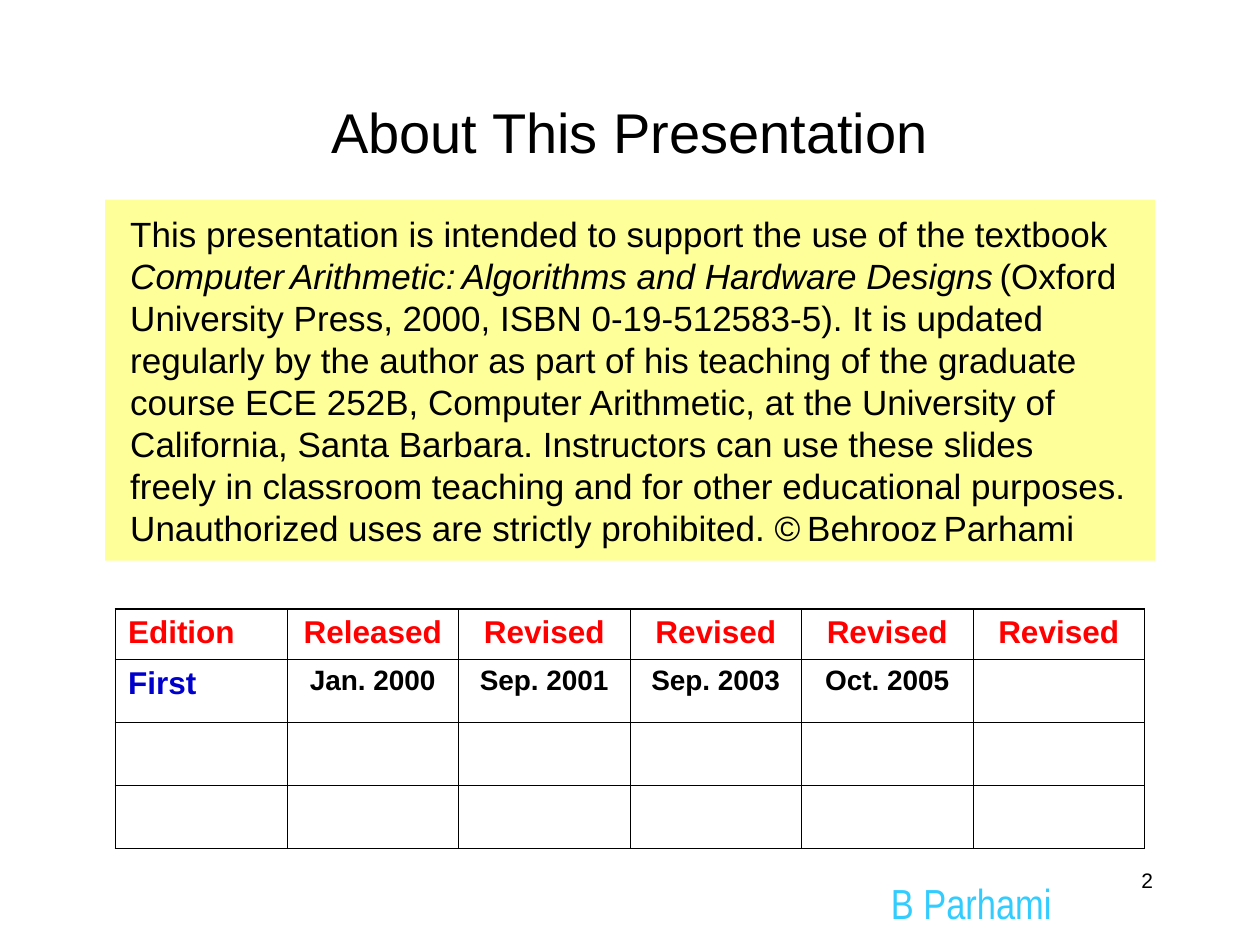
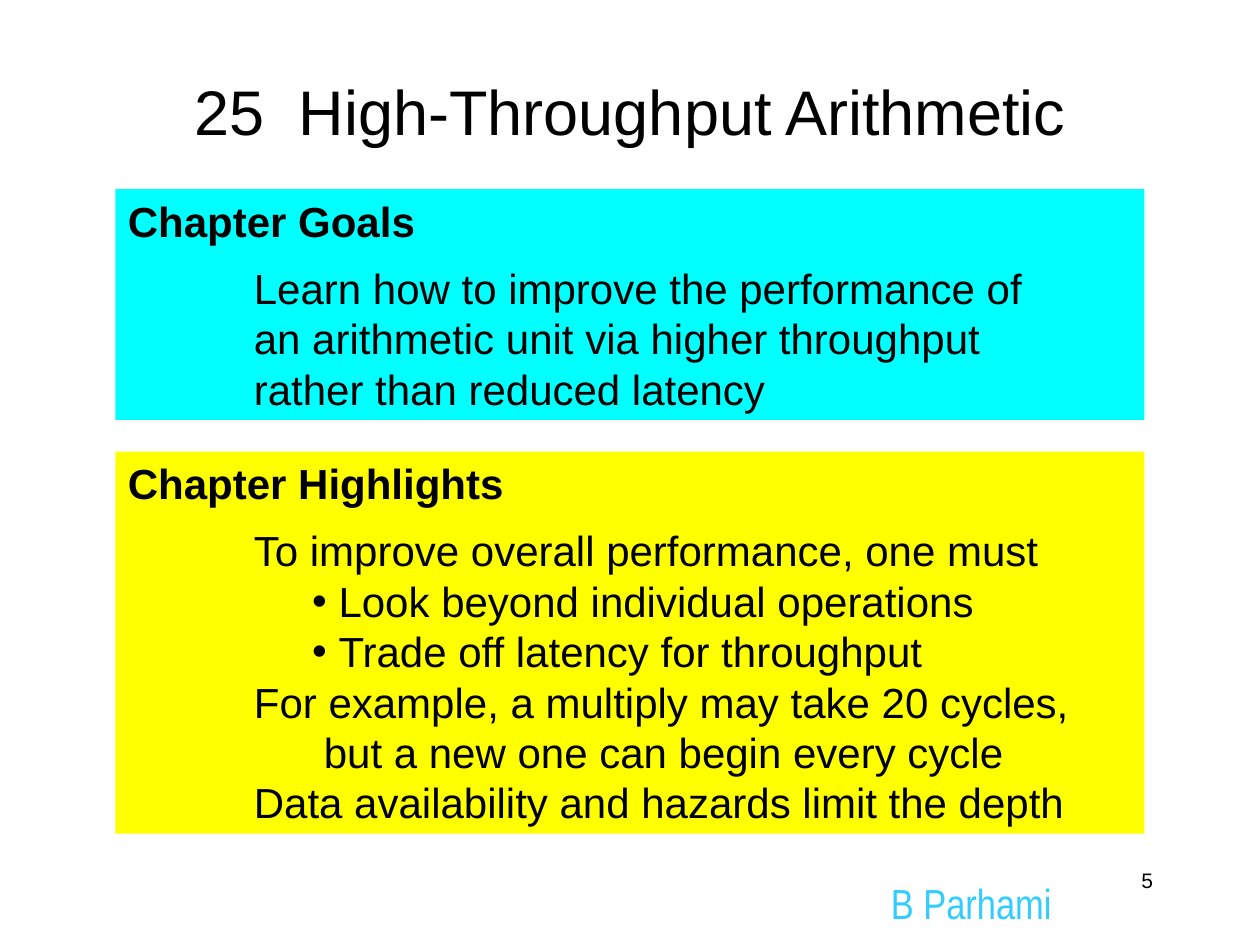
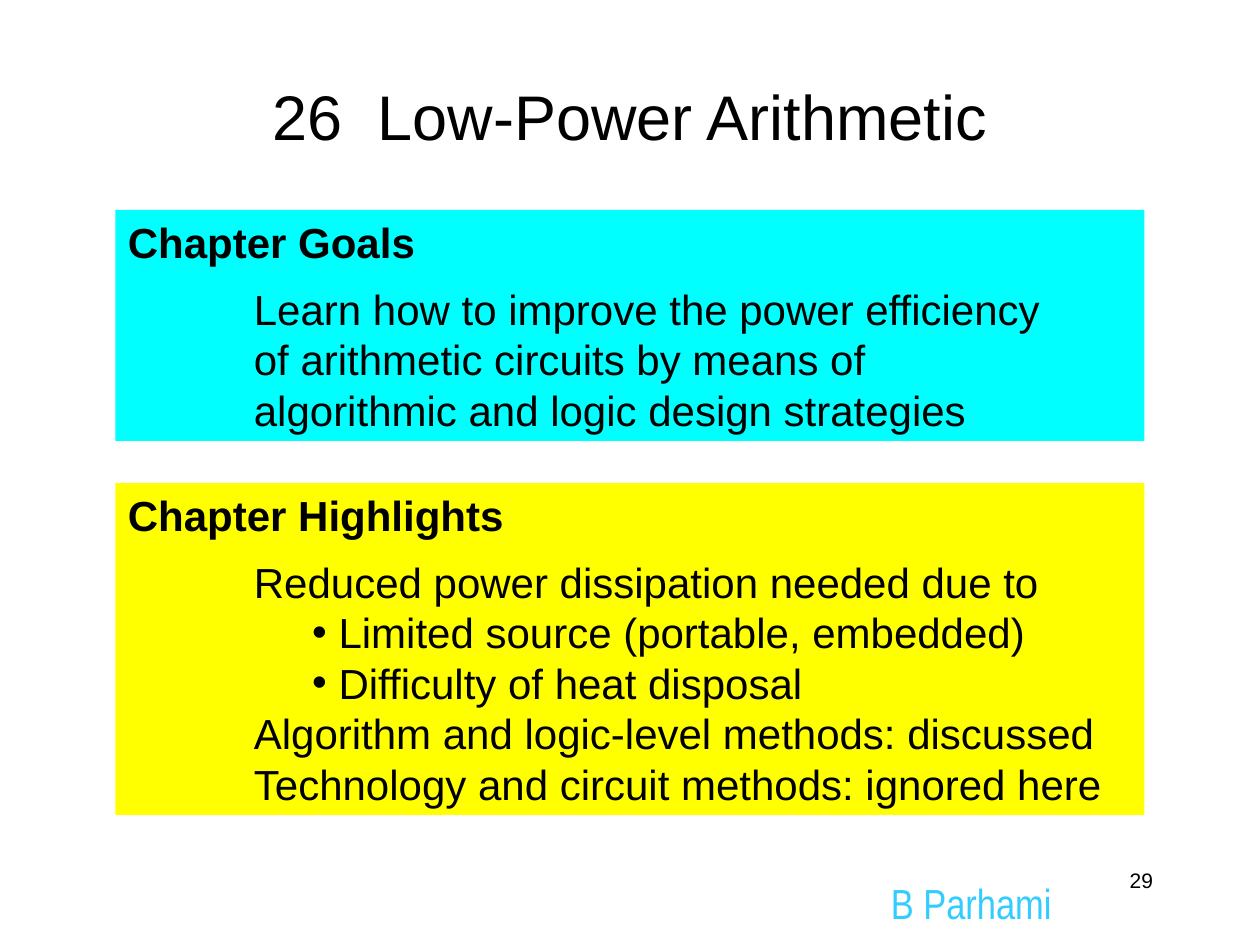
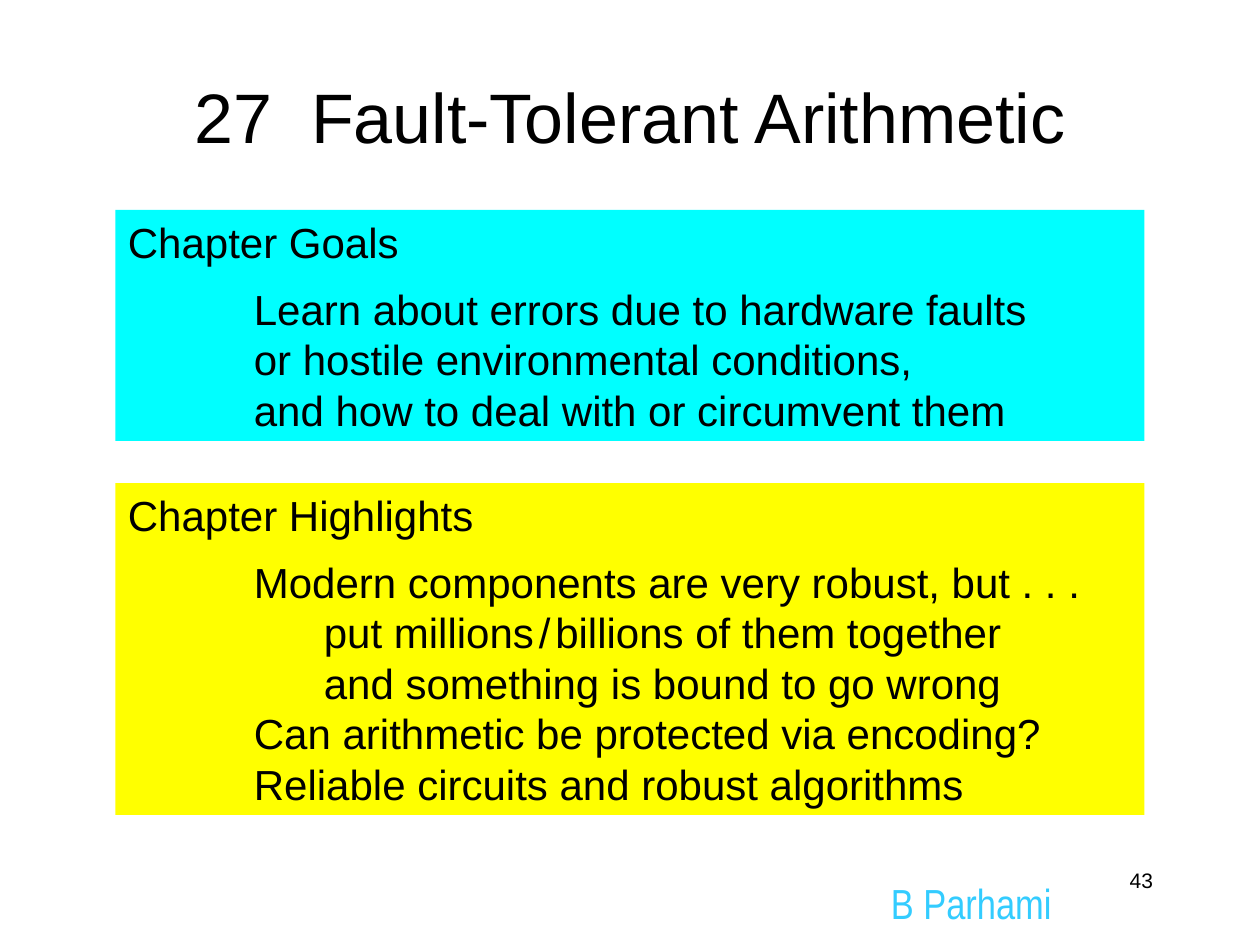
"""Builds four lecture slides on computer arithmetic: an introduction and three chapter openers."""
from dataclasses import dataclass

from lxml import etree
from pptx import Presentation
from pptx.dml.color import RGBColor
from pptx.enum.shapes import MSO_SHAPE
from pptx.enum.text import MSO_ANCHOR, MSO_AUTO_SIZE, PP_ALIGN
from pptx.oxml.ns import qn
from pptx.util import Pt

LEFT, CENTER, RIGHT = PP_ALIGN.LEFT, PP_ALIGN.CENTER, PP_ALIGN.RIGHT
TOP, MIDDLE = MSO_ANCHOR.TOP, MSO_ANCHOR.MIDDLE
FIT_SHAPE, FIXED = MSO_AUTO_SIZE.SHAPE_TO_FIT_TEXT, MSO_AUTO_SIZE.NONE
RECTANGLE = MSO_SHAPE.RECTANGLE


@dataclass(frozen=True)
class Theme:
    """Fonts, colours, type sizes and line widths of the deck."""
    font: str = "Arial"
    footer_font: str = "Arial Narrow"
    ink: str = "000000"
    heading: str = "FF0000"
    edition: str = "0000CC"
    footer: str = "33CCFF"
    footer_edge: str = "000099"
    note: str = "FFFF99"
    goals: str = "00FFFF"
    highlights: str = "FFFF00"
    intro_title_size: float = 32
    panel_size: float = 24
    footer_size: float = 24
    note_size: float = 20
    heading_size: float = 18
    date_size: float = 16
    number_size: float = 12
    note_gap_size: float = 12
    panel_gap_size: float = 10
    leading: float = 1.2
    thin_border: float = 0.45
    thick_border: float = 1.08


THEME = Theme()
THIN_SPACE = "~"
FOOTER = "B Parhami"
TITLE_ONLY = 5

INTRO = {
    "title": "About This Presentation",
    "number": "2",
    "note": [
        ("This presentation is intended to support the use of the textbook ", False),
        ("Computer~Arithmetic:~Algorithms and Hardware Designs~", True),
        ("(Oxford University Press, 2000, ISBN 0-19-512583-5). It is updated "
         "regularly by the author as part of his teaching of the graduate course "
         "ECE 252B, Computer Arithmetic, at the University of California, Santa "
         "Barbara. Instructors can use these slides freely in classroom teaching "
         "and for other educational purposes. Unauthorized uses are strictly "
         "prohibited. ©~Behrooz~Parhami", False),
    ],
    "editions": [
        ["Edition", "Released", "Revised", "Revised", "Revised", "Revised"],
        ["First", "Jan. 2000", "Sep. 2001", "Sep. 2003", "Oct. 2005", ""],
        [""] * 6,
        [""] * 6,
    ],
}

CHAPTERS = [
    {
        "title": "25  High-Throughput Arithmetic", "number": "5",
        "title_size": 36, "title_height": 66, "tops": (108, 258), "bold": True,
        "goals": [
            ("plain", "Learn how to improve the performance of"),
            ("plain", "an arithmetic unit via higher throughput"),
            ("plain", "rather than reduced latency"),
        ],
        "highlights": [
            ("plain", "To improve overall performance, one must"),
            ("bullet", "Look beyond individual operations"),
            ("bullet", "Trade off latency for throughput"),
            ("plain", "For example, a multiply may take 20 cycles,"),
            ("deeper", "but a new one can begin every cycle"),
            ("plain", "Data availability and hazards limit the depth"),
        ],
    },
    {
        "title": "26  Low-Power Arithmetic", "number": "29",
        "title_size": 36, "title_height": 72, "tops": (120, 276), "bold": True,
        "goals": [
            ("plain", "Learn how to improve the power efficiency"),
            ("plain", "of arithmetic circuits by means of"),
            ("plain", "algorithmic and logic design strategies"),
        ],
        "highlights": [
            ("plain", "Reduced power dissipation needed due to"),
            ("bullet", "Limited source (portable, embedded)"),
            ("bullet", "Difficulty of heat disposal"),
            ("plain", "Algorithm and logic-level methods: discussed"),
            ("plain", "Technology and circuit methods: ignored here"),
        ],
    },
    {
        "title": "27  Fault-Tolerant Arithmetic", "number": "43",
        "title_size": 40, "title_height": 72, "tops": (120, 276), "bold": False,
        "goals": [
            ("plain", "Learn about errors due to hardware faults"),
            ("plain", "or hostile environmental conditions,"),
            ("plain", "and how to deal with or circumvent them"),
        ],
        "highlights": [
            ("plain", "Modern components are very robust, but . . ."),
            ("deeper", "put millions~/~billions of them together"),
            ("deeper", "and something is bound to go wrong"),
            ("plain", "Can arithmetic be protected via encoding?"),
            ("plain", "Reliable circuits and robust algorithms"),
        ],
    },
]

PANEL_LEFT, PANEL_WIDTH = 66, 588
LIST_GAP = 9.6
PANEL_PADDING = 7.2
INDENTS = {"plain": (72, 0), "bullet": (120.4, -15.1), "deeper": (112, 0)}


def style(font, size, color=THEME.ink, bold=False, italic=False, name=THEME.font):
    """Set every property of a font."""
    font.name, font.size, font.bold, font.italic = name, Pt(size), bold, italic
    font.color.rgb = RGBColor.from_string(color)


def add_spans(para, text, size, gap_size, **looks):
    """Add text to a paragraph, with smaller spaces at the thin space marks."""
    for index, piece in enumerate(text.split(THIN_SPACE)):
        if index:
            span = para.add_run()
            span.text = " "
            style(span.font, gap_size, **looks)
        if piece:
            span = para.add_run()
            span.text = piece
            style(span.font, size, **looks)


def set_leading(para, size):
    """Give a paragraph the line height that belongs to its type size."""
    para.line_spacing = Pt(size * THEME.leading)


def indent(para, kind):
    """Indent a list line and give it a bullet when its kind asks for one."""
    margin, hanging = INDENTS[kind]
    properties = para._p.get_or_add_pPr()
    properties.set("marL", str(Pt(margin)))
    properties.set("indent", str(Pt(hanging)))
    if kind == "bullet":
        etree.SubElement(properties, qn("a:buFont"), typeface=THEME.font)
        etree.SubElement(properties, qn("a:buChar"), char="•")


def add_label(page, text, frame, align, size, **looks):
    """Add a one-line text box and return it."""
    box = page.shapes.add_textbox(*map(Pt, frame))
    box.text_frame.word_wrap = True
    box.text_frame.auto_size = FIXED
    box.text_frame.text = text
    para = box.text_frame.paragraphs[0]
    para.alignment = align
    style(para.runs[0].font, size, **looks)
    return box


def add_page(deck, title, number, frame, size):
    """Add a slide with its title and page number."""
    page = deck.slides.add_slide(deck.slide_layouts[TITLE_ONLY])
    box = page.shapes.title
    box.left, box.top, box.width, box.height = map(Pt, frame)
    box.text_frame.text = title
    box.text_frame.auto_size = FIXED
    box.text_frame.vertical_anchor = MIDDLE
    para = box.text_frame.paragraphs[0]
    para.alignment = CENTER
    style(para.runs[0].font, size)
    add_label(page, number, (516, 492, 150, 36), RIGHT, THEME.number_size)
    return page


def add_footer_to_layout(deck, page):
    """Put the author's name on the layout that all slides share."""
    box = add_label(page, FOOTER, (495, 498, 120, 36), CENTER, THEME.footer_size,
                    color=THEME.footer, name=THEME.footer_font)
    properties = box.text_frame.paragraphs[0].runs[0].font._element
    edge = etree.Element(qn("a:ln"), w=str(Pt(1)))
    fill = etree.SubElement(edge, qn("a:solidFill"))
    etree.SubElement(fill, qn("a:srgbClr"), val=THEME.footer_edge)
    properties.insert(0, edge)
    deck.slide_layouts[TITLE_ONLY].shapes.element.append(box.element)


def add_panel(page, left, top, width, height, color):
    """Add a plain coloured rectangle and return its text frame."""
    box = page.shapes.add_shape(RECTANGLE, Pt(left), Pt(top), Pt(width), Pt(height))
    box.shadow.inherit = False
    box.fill.solid()
    box.fill.fore_color.rgb = RGBColor.from_string(color)
    box.line.fill.background()
    frame = box.text_frame
    frame.word_wrap = True
    frame.auto_size = FIT_SHAPE
    frame.vertical_anchor = TOP
    return frame


def add_list_panel(page, heading, lines, top, color, bold):
    """Add a panel with a heading above indented lines."""
    size = THEME.panel_size
    height = (len(lines) + 1) * size * THEME.leading + LIST_GAP + PANEL_PADDING
    frame = add_panel(page, PANEL_LEFT, top, PANEL_WIDTH, height, color)
    para = frame.paragraphs[0]
    para.alignment = LEFT
    set_leading(para, size)
    add_spans(para, heading, size, THEME.panel_gap_size, bold=bold)
    for index, (kind, text) in enumerate(lines):
        para = frame.add_paragraph()
        para.alignment = LEFT
        set_leading(para, size)
        if index == 0:
            para.space_before = Pt(LIST_GAP)
        indent(para, kind)
        add_spans(para, text, size, THEME.panel_gap_size)


def draw_borders(cell, row, column, last_row, last_column):
    """Draw thick lines on the rim of the table and thin lines inside."""
    rims = {"lnL": column == 0, "lnR": column == last_column,
            "lnT": row == 0, "lnB": row == last_row}
    properties = cell._tc.get_or_add_tcPr()
    for index, (side, on_rim) in enumerate(rims.items()):
        width = THEME.thick_border if on_rim else THEME.thin_border
        line = etree.Element(qn(f"a:{side}"), w=str(Pt(width)))
        fill = etree.SubElement(line, qn("a:solidFill"))
        etree.SubElement(fill, qn("a:srgbClr"), val=THEME.ink)
        properties.insert(index, line)


def fill_cell(cell, text, row, column):
    """Write one table cell in the style of its row and column."""
    para = cell.text_frame.paragraphs[0]
    para.alignment = CENTER if column else LEFT
    cell.fill.background()
    if not text:
        set_leading(para, THEME.panel_size)
        etree.SubElement(para._p, qn("a:endParaRPr"), sz=str(int(THEME.panel_size * 100)))
        return
    para.text = text
    size, color = THEME.date_size, THEME.ink
    if row == 0:
        size, color = THEME.heading_size, THEME.heading
    elif column == 0:
        size, color = THEME.heading_size, THEME.edition
    style(para.runs[0].font, size, color, bold=True)


def add_editions(page, rows):
    """Add the table of editions and revision dates."""
    row_height = 28.8
    count, width = len(rows), len(rows[0])
    table = page.shapes.add_table(count, width, Pt(PANEL_LEFT), Pt(348),
                                  Pt(PANEL_WIDTH), Pt(row_height * count)).table
    table.first_row = table.horz_banding = False
    for row, texts in enumerate(rows):
        table.rows[row].height = Pt(row_height)
        for column, text in enumerate(texts):
            cell = table.cell(row, column)
            fill_cell(cell, text, row, column)
            draw_borders(cell, row, column, count - 1, width - 1)


def build_intro(deck):
    """Build the slide about the presentation and return it."""
    page = add_page(deck, INTRO["title"], INTRO["number"], (54, 36, 612, 78),
                    THEME.intro_title_size)
    frame = add_panel(page, 60, 114, 600, 206.4, THEME.note)
    frame.margin_left = frame.margin_right = Pt(14.4)
    frame.margin_top = frame.margin_bottom = Pt(7.2)
    para = frame.paragraphs[0]
    para.alignment = LEFT
    set_leading(para, THEME.note_size)
    for text, italic in INTRO["note"]:
        add_spans(para, text, THEME.note_size, THEME.note_gap_size, italic=italic)
    add_editions(page, INTRO["editions"])
    return page


def build_chapter(deck, chapter):
    """Build one chapter opener with its goals and highlights."""
    page = add_page(deck, chapter["title"], chapter["number"],
                    (30, 30, 660, chapter["title_height"]), chapter["title_size"])
    goals_top, highlights_top = chapter["tops"]
    add_list_panel(page, "Chapter Goals", chapter["goals"], goals_top,
                   THEME.goals, chapter["bold"])
    add_list_panel(page, "Chapter Highlights", chapter["highlights"], highlights_top,
                   THEME.highlights, chapter["bold"])


def main():
    """Build and save the deck."""
    deck = Presentation()
    deck.slide_width, deck.slide_height = Pt(720), Pt(540)
    intro = build_intro(deck)
    add_footer_to_layout(deck, intro)
    for chapter in CHAPTERS:
        build_chapter(deck, chapter)
    deck.save("out.pptx")


if __name__ == "__main__":
    main()
